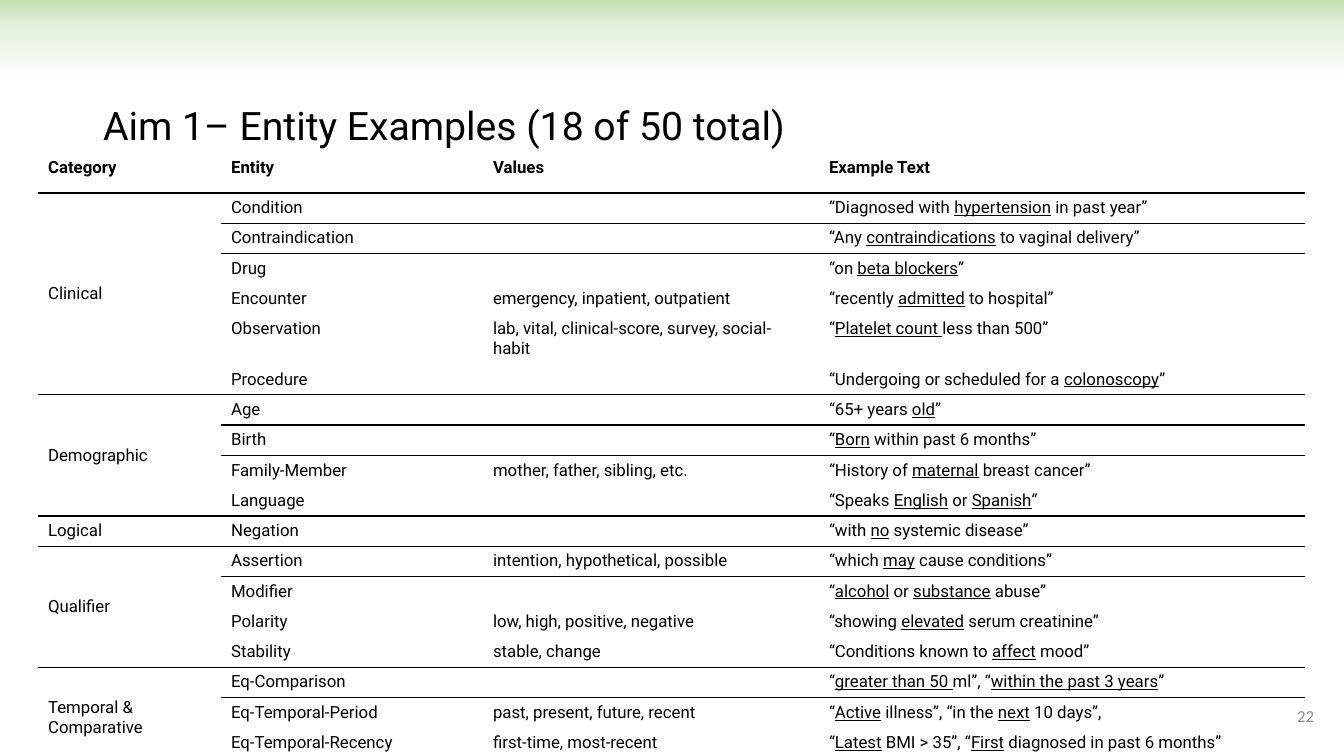
"""Build the entity examples slide."""
from copy import deepcopy
from lxml.etree import SubElement
from pptx import Presentation
from pptx.dml.color import RGBColor
from pptx.enum.shapes import MSO_SHAPE
from pptx.enum.text import MSO_ANCHOR, MSO_AUTO_SIZE, PP_ALIGN
from pptx.oxml.ns import qn
from pptx.util import Pt

TITLE = "Aim 1– Entity Examples (18 of 50 total)"
PAGE = "22"
HEADER = ("Category", "Entity", "Values", "Example Text")
GROUPS = {
    "Clinical": [
        ("Condition", "", "“Diagnosed with _hypertension_ in past year”"),
        ("Contraindication", "", "“Any _contraindications_ to vaginal delivery”"),
        ("Drug", "", "“on _beta blockers_”"),
        ("Encounter", "emergency, inpatient, outpatient", "“recently _admitted_ to hospital”"),
        ("Observation", "lab, vital, clinical-score, survey, social-habit",
         "“_Platelet count _less than 500”"),
        ("Procedure", "", "“Undergoing or scheduled for a _colonoscopy_”"),
    ],
    "Demographic": [
        ("Age", "", "“65+ years _old_”"),
        ("Birth", "", "“_Born_ within past 6 months”"),
        ("Family-Member", "mother, father, sibling, etc.", "“History of _maternal_ breast cancer”"),
        ("Language", "", "“Speaks _English_ or _Spanish_”"),
    ],
    "Logical": [("Negation", "", "“with _no_ systemic disease”")],
    "Qualifier": [
        ("Assertion", "intention, hypothetical, possible", "“which _may_ cause conditions”"),
        ("Modifier", "", "“_alcohol_ or _substance_ abuse”"),
        ("Polarity", "low, high, positive, negative", "“showing _elevated_ serum creatinine”"),
        ("Stability", "stable, change", "“Conditions known to _affect_ mood”"),
    ],
    "Temporal &\nComparative": [
        ("Eq-Comparison", "", "“_greater than 50 _ml”, “_within the past 3 years_”"),
        ("Eq-Temporal-Period", "past, present, future, recent",
         "“_Active_ illness”, “in the _next_ 10 days”,"),
        ("Eq-Temporal-Recency", "first-time, most-recent",
         "“_Latest_ BMI > 35”, “_First_ diagnosed in past 6 months”"),
    ],
}
LEAD_RULES = ("Condition", "Age")

COLORS = {"text": "000000", "page": "8C8C8C"}
BAND_STOPS = [(0, "C5E0B4"), (0.3, "E2F0D9"), (1, "FFFFFF")]
COL_WIDTHS = (183, 262, 336, 486)
ROW_H, END_ROW_H = 30, 40
NO_GRID_STYLE = "{2D5ABB26-0587-4C30-8999-92F81FD0307C}"
BODY = {"size": Pt(12), "name": "Roboto", "bold": False}


def px(*lengths):
    return [round(n * 914400 / 100.8) for n in lengths]


def write(p, text, color="text", **formats):
    for i, part in enumerate(text.split("_")):
        if part:
            r = p.add_run()
            r.text = part
            for key, value in {**BODY, **formats}.items():
                setattr(r.font, key, value)
            r.font.color.rgb = RGBColor.from_string(COLORS[color])
            if i % 2:
                r.font.underline = True
    if not text:
        SubElement(p._p, qn("a:endParaRPr"), sz="1200")


def fill_cell(cell, text, **formats):
    cell.fill.background()
    tf = cell.text_frame
    for i, line in enumerate(text.split("\n")):
        write(tf.add_paragraph() if i else tf.paragraphs[0], line, **formats)


def add_border(cell, side):
    tcPr = cell._tc.get_or_add_tcPr()
    ln = SubElement(tcPr, qn(f"a:{side}"), w="12700")
    fill = SubElement(ln, qn("a:solidFill"))
    SubElement(fill, qn("a:srgbClr"), val=COLORS["text"])
    tcPr.insert(0, ln)


def rule_below(table, row, first_col=0):
    for col in range(first_col, len(HEADER)):
        add_border(table.cell(row, col), "lnB")
        add_border(table.cell(row + 1, col), "lnT")


def add_band(s):
    band = s.shapes.add_shape(MSO_SHAPE.RECTANGLE, *px(0, 0, 1344, 81))
    band.shadow.inherit = False
    band.line.fill.background()
    band.fill.gradient()
    band.fill.gradient_angle = 270
    stop_list = band.fill._fill._gradFill.find(qn("a:gsLst"))
    stop_list.append(deepcopy(stop_list[-1]))
    for stop, (position, color) in zip(band.fill.gradient_stops, BAND_STOPS):
        stop.position = position
        stop.color.rgb = RGBColor.from_string(color)


def add_title(s):
    title = s.shapes.title
    title.left, title.top, title.width, title.height = px(93, 96, 845, 57)
    tf = title.text_frame
    tf.auto_size, tf.vertical_anchor = MSO_AUTO_SIZE.NONE, MSO_ANCHOR.MIDDLE
    tf.paragraphs[0].alignment = PP_ALIGN.LEFT
    write(tf.paragraphs[0], TITLE, size=Pt(28))


def add_page_number(s):
    tf = s.shapes.add_textbox(*px(1022, 696, 302, 40)).text_frame
    tf.word_wrap, tf.vertical_anchor = True, MSO_ANCHOR.MIDDLE
    tf.paragraphs[0].alignment = PP_ALIGN.RIGHT
    write(tf.paragraphs[0], PAGE, "page", name="Calibri")


def add_entity_table(s):
    count = 1 + sum(map(len, GROUPS.values()))
    height = 2 * END_ROW_H + (count - 2) * ROW_H
    frame = s.shapes.add_table(count, len(HEADER), *px(38, 153, sum(COL_WIDTHS), height))
    table = frame.table
    table.first_row = table.horz_banding = False
    table._tbl.tblPr.find(qn("a:tableStyleId")).text = NO_GRID_STYLE
    for column, width in zip(table.columns, px(*COL_WIDTHS)):
        column.width = width
    for i, row in enumerate(table.rows):
        row.height = px(END_ROW_H if i in (0, count - 1) else ROW_H)[0]

    for col, text in enumerate(HEADER):
        fill_cell(table.cell(0, col), text, bold=True)
    top = 1
    for category, entities in GROUPS.items():
        rule_below(table, top - 1)
        for i, entity in enumerate(entities):
            for col, text in enumerate((category if i == 0 else "", *entity)):
                fill_cell(table.cell(top + i, col), text)
            if entity[0] in LEAD_RULES:
                rule_below(table, top + i, first_col=1)
        if len(entities) > 1:
            lead = table.cell(top, 0)
            lead.merge(table.cell(top + len(entities) - 1, 0))
            lead.vertical_anchor = MSO_ANCHOR.MIDDLE
        top += len(entities)


def main():
    prs = Presentation()
    prs.slide_width, prs.slide_height = px(1344, 756)
    s = prs.slides.add_slide(prs.slide_layouts[5])
    add_band(s)
    add_title(s)
    add_page_number(s)
    add_entity_table(s)
    prs.save("out.pptx")


if __name__ == "__main__":
    main()
